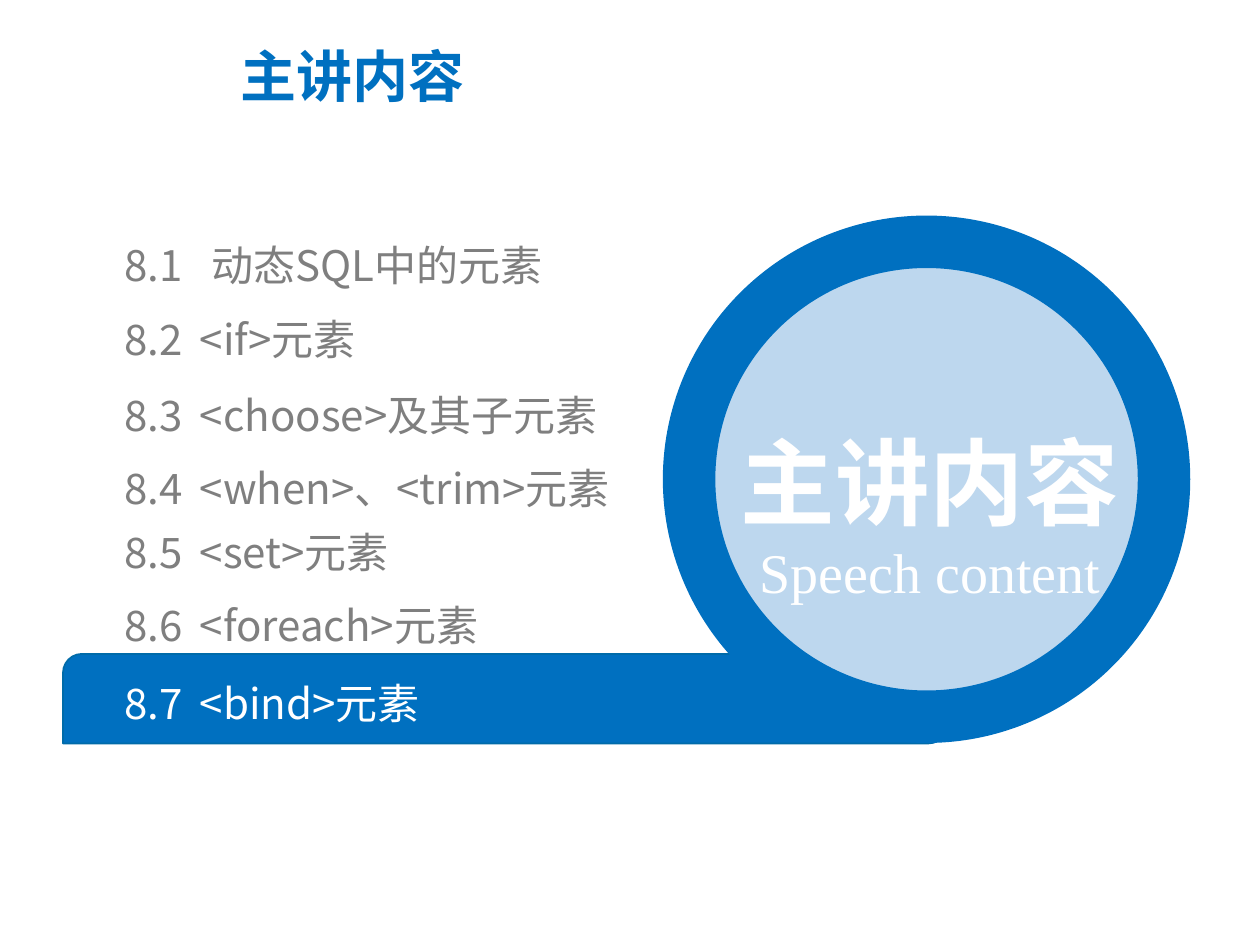
import pptx
import pptx.util
import pptx.dml.color
import pptx.enum.shapes
import pptx.enum.text
import pptx.oxml
import pptx.oxml.ns

Pt = pptx.util.Pt
Shape = pptx.enum.shapes.MSO_SHAPE
Align = pptx.enum.text.PP_ALIGN
Anchor = pptx.enum.text.MSO_ANCHOR

TITLE = "主讲内容"
SUBTITLE = "Speech content"
# number, heading, top of the row
SECTIONS = [
    ("8.1", "动态SQL中的元素", 136.8),
    ("8.2", "<if>元素", 179.3),
    ("8.3", "<choose>及其子元素", 222.5),
    ("8.4", "<when>、<trim>元素", 264.2),
    ("8.5", "<set>元素", 301),
    ("8.6", "<foreach>元素", 342.7),
    ("8.7", "<bind>元素", 387.4),
]
CURRENT = "8.7"

THEME = {
    "blue": "0070C0", "edge": "006BA9", "pale": "BDD7EE",
    "grey": "7F7F7F", "white": "FFFFFF",
    "sans": "Noto Sans CJK SC", "serif": "Times New Roman",
    "title": 32, "hero": 54, "section": 24,
}
ROW_LEFT, ROW_WIDTH, ROW_HEIGHT = 71.3, 385, 28.8
HEADING_INDENT, FIRST_INDENT = 43, 49.5


def color(name):
    return pptx.dml.color.RGBColor.from_string(THEME[name])


def add_box(page, left, top, width, height, margins=(7.2, 3.6), anchor=Anchor.TOP):
    box = page.shapes.add_textbox(Pt(left), Pt(top), Pt(width), Pt(height))
    frame = box.text_frame
    frame.word_wrap = True
    frame.vertical_anchor = anchor
    frame.margin_left = frame.margin_right = Pt(margins[0])
    frame.margin_top = frame.margin_bottom = Pt(margins[1])
    return frame


def write(para, text, size, ink, face="sans", bold=False, spacing=1.0, align=Align.LEFT):
    para.text = text
    para.alignment = align
    para.line_spacing = spacing
    font = para.font
    font.size, font.bold, font.name = Pt(THEME[size]), bold, THEME[face]
    font.color.rgb = color(ink)
    properties = para._p.get_or_add_pPr().find(pptx.oxml.ns.qn("a:defRPr"))
    latin = properties.find(pptx.oxml.ns.qn("a:latin"))
    latin.addnext(pptx.oxml.parse_xml(
        f'<a:ea {pptx.oxml.ns.nsdecls("a")} typeface="{THEME[face]}"/>'))


def set_tab(para, position):
    """Put one left tab stop, in points, before the paragraph's default font."""
    properties = para._p.get_or_add_pPr().find(pptx.oxml.ns.qn("a:defRPr"))
    properties.addprevious(pptx.oxml.parse_xml(
        f'<a:tabLst {pptx.oxml.ns.nsdecls("a")}>'
        f'<a:tab pos="{int(Pt(position))}" algn="l"/></a:tabLst>'))


def add_figure(page, kind, bounds, fill, line, weight):
    figure = page.shapes.add_shape(kind, *map(Pt, bounds))
    figure.shadow.inherit = False
    figure.fill.solid()
    figure.fill.fore_color.rgb = color(fill)
    figure.line.color.rgb = color(line)
    figure.line.width = Pt(weight)
    return figure


def main():
    deck = pptx.Presentation()
    deck.slide_width, deck.slide_height = Pt(720), Pt(540)
    page = deck.slides.add_slide(deck.slide_layouts[6])

    heading = add_box(page, 130.3, 24.5, 442.8, 61.2)
    write(heading.paragraphs[0], TITLE, "title", "blue", bold=True, spacing=0.9)

    bar = add_figure(page, Shape.ROUND_2_DIAG_RECTANGLE,
                     (36, 373.7, 505.4, 51.1), "blue", "edge", 1)
    bar.adjustments[0] = 0.21
    add_figure(page, Shape.OVAL, (393.8, 138.2, 271.4, 271.4), "pale", "blue", 30)

    hero = add_box(page, 391, 205.9, 280.8, 143.3, anchor=Anchor.MIDDLE)
    write(hero.paragraphs[0], TITLE, "hero", "white", bold=True,
          spacing=1.5, align=Align.CENTER)
    write(hero.add_paragraph(), SUBTITLE, "title", "white", face="serif",
          align=Align.CENTER)

    for index, (number, name, top) in enumerate(SECTIONS):
        row = add_box(page, ROW_LEFT, top, ROW_WIDTH, ROW_HEIGHT, (0, 0), Anchor.MIDDLE)
        para = row.paragraphs[0]
        write(para, f"{number}\t{name}", "section",
              "white" if number == CURRENT else "grey")
        set_tab(para, HEADING_INDENT if index else FIRST_INDENT)

    deck.save("out.pptx")


if __name__ == "__main__":
    main()
